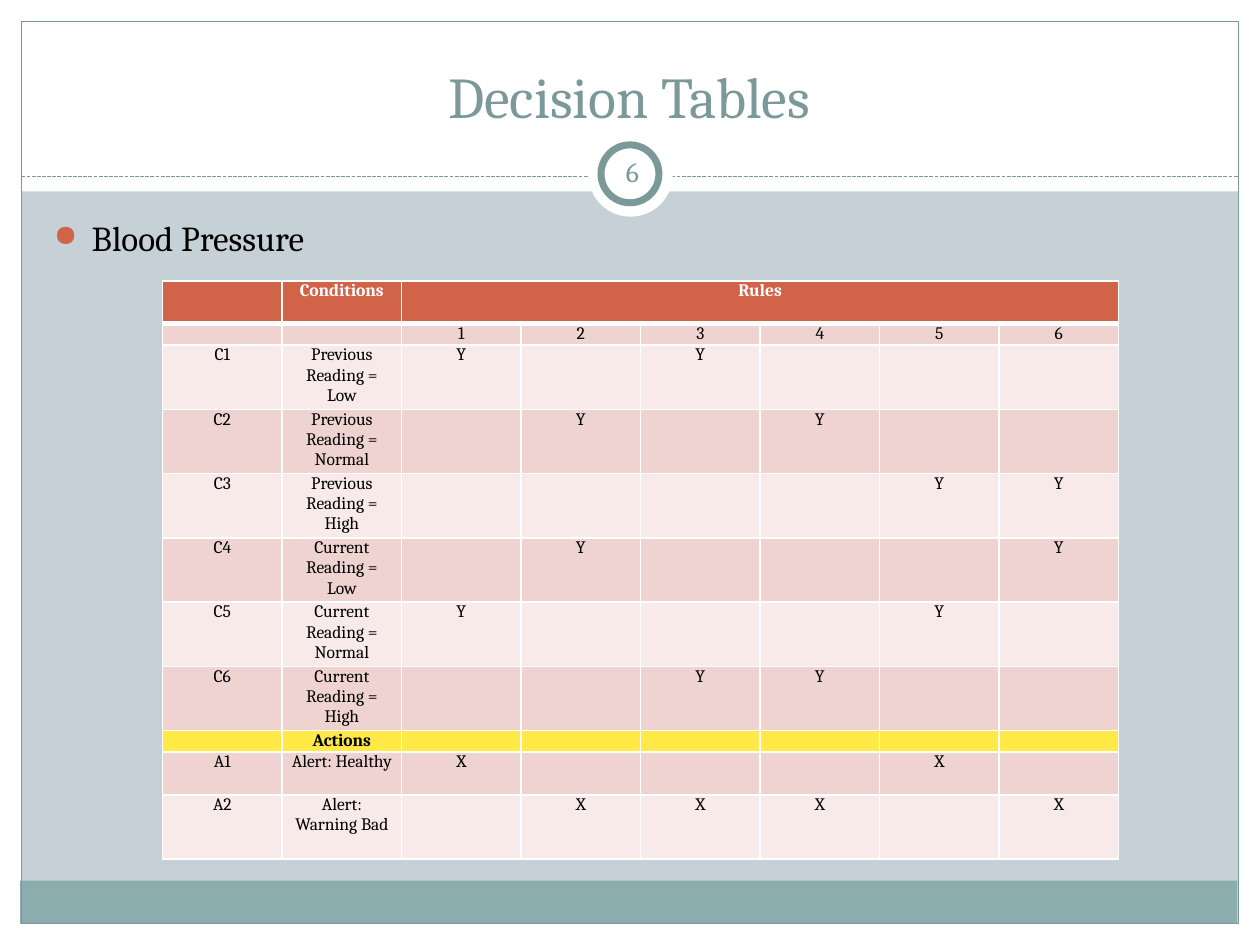
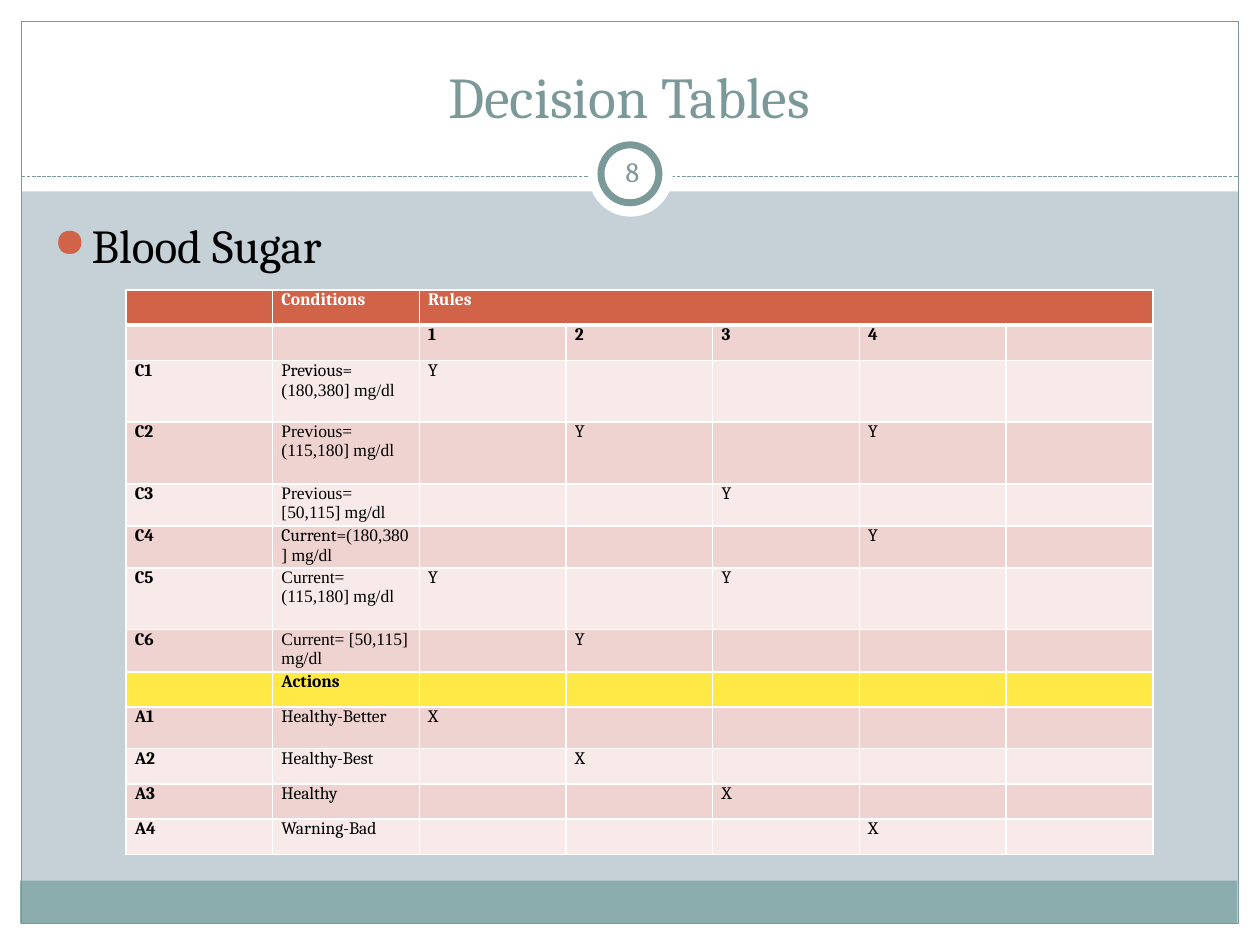
from lxml import etree
from pptx import Presentation
from pptx.dml.color import RGBColor
from pptx.enum.dml import MSO_LINE
from pptx.enum.shapes import MSO_CONNECTOR, MSO_SHAPE
from pptx.enum.text import MSO_ANCHOR, PP_ALIGN
from pptx.oxml.ns import qn
from pptx.util import Inches, Pt

TITLE = "Decision Tables"
DECKS = [
    {
        "page": "6", "topic": "Blood Pressure", "size": 20,
        "left": 1.29, "top": 2.23, "width": 7.59,
        "center": True, "strong": False,
        "highs": [0.34, 0.17] + [0.51] * 6 + [0.17, 0.34, 0.51],
        "rules": "123456",
        "rows": [
            ("C1", "Previous Reading = Low", "", "Y Y   "),
            ("C2", "Previous Reading = Normal", "", " Y Y  "),
            ("C3", "Previous Reading = High", "", "    YY"),
            ("C4", "Current Reading = Low", "", " Y   Y"),
            ("C5", "Current Reading = Normal", "", "Y   Y "),
            ("C6", "Current Reading = High", "", "  YY  "),
            ("", "Actions", "", "      "),
            ("A1", "Alert: Healthy", "", "X   X "),
            ("A2", "Alert: Warning Bad", "", " XXX X"),
        ],
    },
    {
        "page": "8", "topic": "Blood Sugar", "size": 27,
        "left": 1, "top": 2.3, "width": 8.15,
        "center": False, "strong": True,
        "highs": [0.28, 0.28, 0.49, 0.49, 0.33, 0.33, 0.49, 0.33, 0.28,
                  0.33, 0.28, 0.28, 0.28],
        "rules": "1234 ",
        "rows": [
            ("C1", "Previous= ", "(180,380] mg/dl", "Y    "),
            ("C2", "", "Previous= (115,180] mg/dl", " Y Y "),
            ("C3", "", "Previous= [50,115] mg/dl", "  Y  "),
            ("C4", "Current=", "(180,380] mg/dl", "   Y "),
            ("C5", "", "Current= (115,180] mg/dl", "Y Y  "),
            ("C6", "", "Current= [50,115] mg/dl", " Y   "),
            ("", "Actions", "", "     "),
            ("A1", "Healthy-Better", "", "X    "),
            ("A2", "Healthy-Best", "", " X   "),
            ("A3", "Healthy", "", "  X  "),
            ("A4", "Warning-Bad", "", "   X "),
        ],
    },
]

WHITE = RGBColor(0xFF, 0xFF, 0xFF)
BLACK = RGBColor(0, 0, 0)
MIST = RGBColor(0xC5, 0xD1, 0xD7)
TEAL = RGBColor(0x8C, 0xAD, 0xAE)
SLATE = RGBColor(0x7C, 0x99, 0x9A)
RUST = RGBColor(0xD1, 0x63, 0x49)
ROSE = RGBColor(0xEE, 0xD3, 0xD0)
BLUSH = RGBColor(0xF7, 0xEA, 0xE9)
YELLOW = RGBColor(0xFF, 0xE9, 0x47)
SERIF = "Cambria"
TIMES = "Times New Roman"
RECT, OVAL = MSO_SHAPE.RECTANGLE, MSO_SHAPE.OVAL
STRAIGHT = MSO_CONNECTOR.STRAIGHT
DASH = MSO_LINE.SQUARE_DOT
LEFT, CENTER = PP_ALIGN.LEFT, PP_ALIGN.CENTER
MIDDLE, BOTTOM = MSO_ANCHOR.MIDDLE, MSO_ANCHOR.BOTTOM

FRAME = [
    (RECT, (0, 7.33, 10, 0.17), WHITE, 0),
    (RECT, (0, 0, 10, 1.52), WHITE, 0),
    (RECT, (0, 0, 0.17, 7.5), WHITE, 0),
    (RECT, (9.83, 0, 0.17, 7.5), WHITE, 0),
    (RECT, (0.16, 6.99, 9.66, 0.34), TEAL, 0),
    (RECT, (0.17, 0.17, 9.66, 7.16), None, 0.75),
]
BADGE = [
    (OVAL, (4.67, 1.05, 0.67, 0.67), WHITE, 0),
    (OVAL, (4.77, 1.15, 0.46, 0.46), WHITE, 4),
]


def style(run, size, color, font=SERIF, bold=False):
    run.font.size = Pt(size)
    run.font.name = font
    run.font.bold = bold
    run.font.color.rgb = color


def draw(slide, parts):
    for kind, box, fill, line in parts:
        shape = slide.shapes.add_shape(kind, *map(Inches, box))
        shape.shadow.inherit = False
        if fill is None:
            shape.fill.background()
        else:
            shape.fill.solid()
            shape.fill.fore_color.rgb = fill
        if line:
            shape.line.color.rgb = SLATE
            shape.line.width = Pt(line)
        else:
            shape.line.fill.background()


def rule(slide):
    y = Inches(1.4)
    line = slide.shapes.add_connector(STRAIGHT, Inches(0.17), y, Inches(9.83), y)
    line.line.color.rgb = SLATE
    line.line.width = Pt(0.75)
    line.line.dash_style = DASH
    etree.SubElement(line._element.spPr, qn("a:effectLst"))


def label(shape, text, size, color, align, anchor=None):
    frame = shape.text_frame
    frame.word_wrap = True
    if anchor is not None:
        frame.vertical_anchor = anchor
    frame.text = text
    para = frame.paragraphs[0]
    para.alignment = align
    style(para.runs[0], size, color)
    return frame


def bullet(para):
    props = para._p.get_or_add_pPr()
    props.set("marL", str(Inches(0.3)))
    props.set("indent", str(-Inches(0.3)))
    tint = etree.SubElement(props, qn("a:buClr"))
    etree.SubElement(tint, qn("a:srgbClr"), val=str(RUST))
    etree.SubElement(props, qn("a:buSzPct"), val="85000")
    etree.SubElement(props, qn("a:buChar"), char="●")


def edge(cell, head, below):
    props = cell._tc.get_or_add_tcPr()
    widths = {"L": 1, "R": 1, "T": 3 if below else 1, "B": 3 if head else 1}
    for spot, (side, width) in enumerate(widths.items()):
        line = etree.Element(qn("a:ln" + side), w=str(Pt(width)))
        fill = etree.SubElement(line, qn("a:solidFill"))
        etree.SubElement(fill, qn("a:srgbClr"), val=str(WHITE))
        props.insert(spot, line)


def write(cell, parts, color, bold, align):
    cell.margin_left = cell.margin_right = Inches(0.07)
    cell.margin_top = cell.margin_bottom = 0
    para = cell.text_frame.paragraphs[0]
    para.alignment = align
    for text, font in zip(parts, (SERIF, TIMES)):
        if text.strip():
            run = para.add_run()
            run.text = text
            style(run, 10, color, font, bold)
    if not para.runs:
        para._p.get_or_add_endParaRPr().set("sz", "1000")


def grid(slide, deck):
    count = len(deck["rules"])
    rows = [("", "Conditions", "", ["Rules"] + [""] * (count - 1)),
            ("", "", "", deck["rules"])] + deck["rows"]
    box = deck["left"], deck["top"], deck["width"], sum(deck["highs"])
    table = slide.shapes.add_table(len(rows), count + 2, *map(Inches, box)).table
    table.horz_banding = False
    for col in table.columns:
        col.width = Inches(deck["width"] / (count + 2))
    align = CENTER if deck["center"] else LEFT
    for r, (code, name, unit, marks) in enumerate(rows):
        table.rows[r].height = Inches(deck["highs"][r])
        head, act = r == 0, name == "Actions"
        fill = RUST if head else YELLOW if act else ROSE if r % 2 else BLUSH
        cells = [(code,), (name, unit)] + [(mark,) for mark in marks]
        for c, parts in enumerate(cells):
            cell = table.cell(r, c)
            bold = head or act or deck["strong"] and (r == 1 or c == 0)
            write(cell, parts, WHITE if head else BLACK, bold, align)
            cell.fill.solid()
            cell.fill.fore_color.rgb = fill
            edge(cell, head, r == 1)
    table.cell(0, 2).merge(table.cell(0, count + 1))


def build(show, deck):
    slide = show.slides.add_slide(show.slide_layouts[5])
    draw(slide, FRAME)
    rule(slide)
    draw(slide, BADGE)
    title = slide.shapes.title
    title.left, title.top, title.width, title.height = map(
        Inches, (0.33, 0.25, 9.33, 0.83))
    label(title, TITLE, 33, SLATE, CENTER, BOTTOM)
    slide.shapes._spTree.append(title._element)
    page = slide.shapes.add_textbox(*map(Inches, (4.77, 1.12, 0.5, 0.48)))
    frame = label(page, deck["page"], 16, SLATE, CENTER, MIDDLE)
    frame.margin_left = frame.margin_right = Inches(0.05)
    topic = slide.shapes.add_textbox(*map(Inches, (0.33, 1.67, 9.3, 0.55)))
    frame = label(topic, deck["topic"], deck["size"], BLACK, LEFT)
    bullet(frame.paragraphs[0])
    grid(slide, deck)


def main():
    show = Presentation()
    show.slide_width, show.slide_height = Inches(10), Inches(7.5)
    back = show.slide_master.background.fill
    back.solid()
    back.fore_color.rgb = MIST
    for deck in DECKS:
        build(show, deck)
    show.save("out.pptx")


if __name__ == "__main__":
    main()
